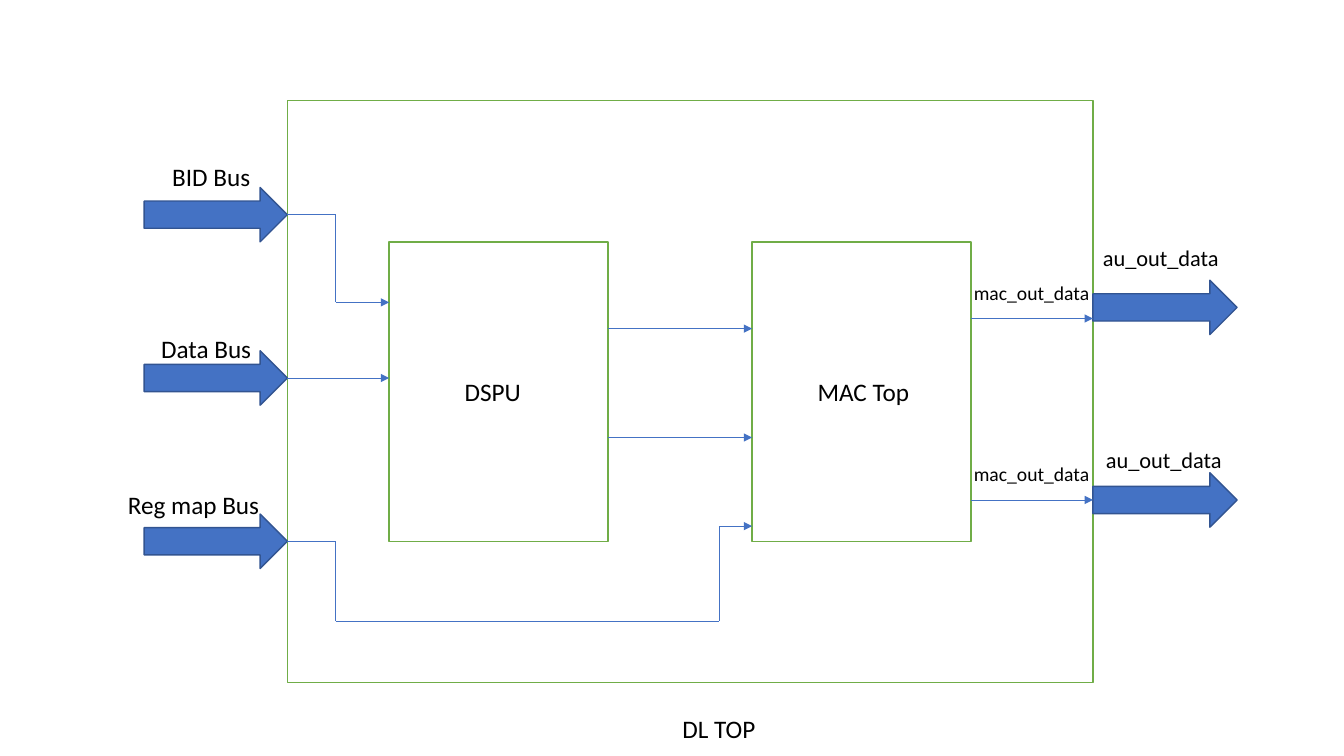
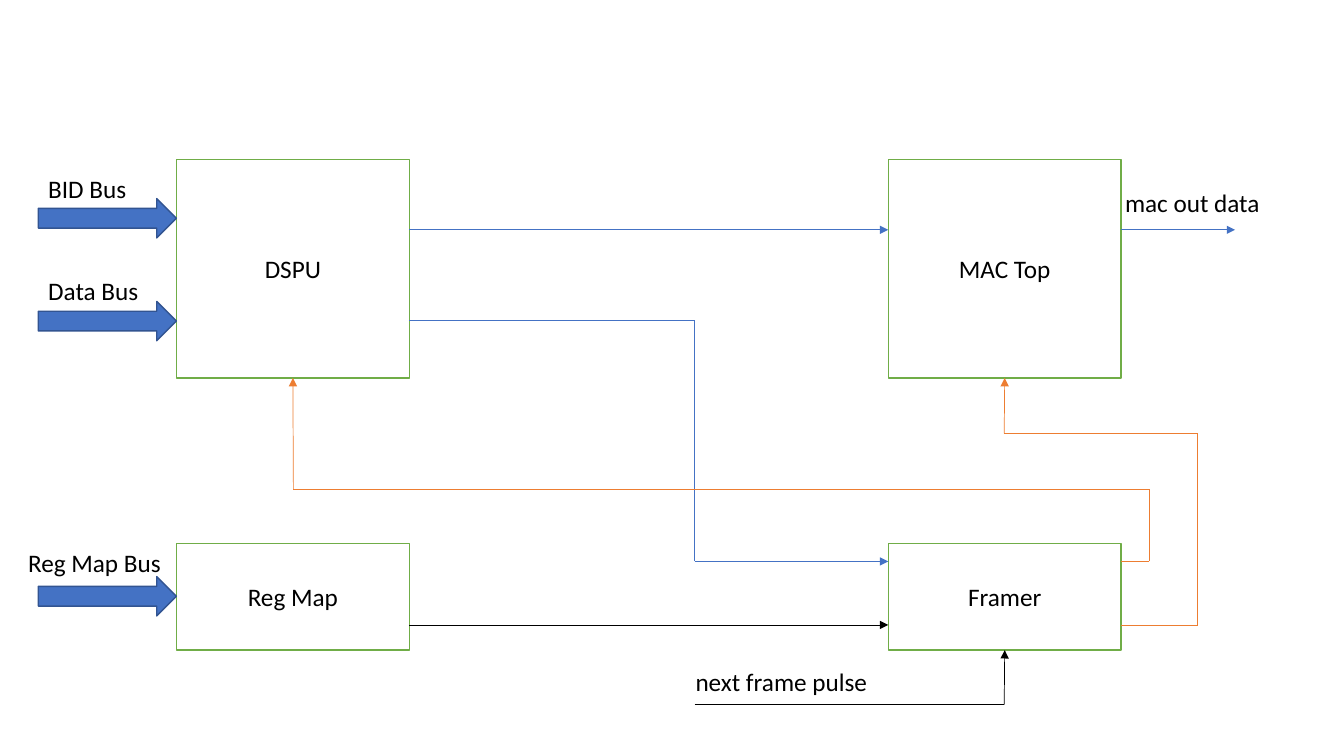
from itertools import pairwise

from lxml import etree
from pptx import Presentation
from pptx.dml.color import RGBColor
from pptx.enum.shapes import MSO_CONNECTOR, MSO_SHAPE
from pptx.enum.text import MSO_ANCHOR, MSO_AUTO_SIZE, PP_ALIGN
from pptx.oxml.ns import qn
from pptx.util import Inches, Pt

FONT = "Calibri"
WHITE = RGBColor(0xFF, 0xFF, 0xFF)
BLACK = RGBColor(0x00, 0x00, 0x00)
GREEN = RGBColor(0x70, 0xAD, 0x47)
BLUE = RGBColor(0x44, 0x72, 0xC4)
DARK_BLUE = RGBColor(0x32, 0x54, 0x91)
ORANGE = RGBColor(0xED, 0x7D, 0x31)
BOTTOM, RIGHT = 2, 3


def add_block(slide, preset, left, top, width, height, caption=""):
    """Add a green outlined module or a solid blue bus arrow."""
    block = slide.shapes.add_shape(
        preset, Inches(left), Inches(top), Inches(width), Inches(height))
    is_bus = preset == MSO_SHAPE.RIGHT_ARROW
    block.shadow.inherit = False
    block.fill.solid()
    block.fill.fore_color.rgb = BLUE if is_bus else WHITE
    block.line.color.rgb = DARK_BLUE if is_bus else GREEN
    block.line.width = Pt(1)
    if caption:
        frame = block.text_frame
        frame.text = caption
        frame.vertical_anchor = MSO_ANCHOR.MIDDLE
        frame.paragraphs[0].alignment = PP_ALIGN.CENTER
        font = frame.paragraphs[0].runs[0].font
        font.name, font.size, font.color.rgb = FONT, Pt(18), BLACK
    return block


def add_route(slide, color, points, source=None, target=None):
    """Join the points with lines, ending in an arrowhead.

    The route may start at the tip of a source bus and end below a target module.
    """
    segments = []
    for (x1, y1), (x2, y2) in pairwise(points):
        segment = slide.shapes.add_connector(
            MSO_CONNECTOR.STRAIGHT, Inches(x1), Inches(y1), Inches(x2), Inches(y2))
        segment.line.color.rgb = color
        segment.line.width = Pt(0.5)
        etree.SubElement(segment.element.spPr, qn("a:effectLst"))
        segments.append(segment)
    outline = segments[-1].element.spPr.find(qn("a:ln"))
    etree.SubElement(outline, qn("a:tailEnd"), type="triangle")
    if source is not None:
        segments[0].begin_connect(source, RIGHT)
    if target is not None:
        segments[-1].end_connect(target, BOTTOM)


prs = Presentation()
prs.slide_width, prs.slide_height = Inches(13.33), Inches(7.5)
blank_layout = prs.slide_layouts[6]
top_level = prs.slides.add_slide(blank_layout)
internals = prs.slides.add_slide(blank_layout)

# Slide 1: top level with its buses
for left, top, width, height in [
        (2.85, 1, 7.99, 5.77), (3.86, 2.4, 2.17, 2.97), (7.46, 2.4, 2.17, 2.97)]:
    add_block(top_level, MSO_SHAPE.RECTANGLE, left, top, width, height)

input_routes = [
    [(2.85, 2.13), (3.33, 2.13), (3.33, 3), (3.86, 3)],
    [(2.85, 3.75), (3.86, 3.75)],
    [(2.85, 5.37), (3.33, 5.37), (3.33, 6.16), (7.13, 6.16), (7.13, 5.22), (7.46, 5.22)],
]
for row, points in enumerate(input_routes):
    input_bus = add_block(
        top_level, MSO_SHAPE.RIGHT_ARROW, 1.43, 1.86 + 1.62 * row, 1.42, 0.54)
    add_route(top_level, BLUE, points, source=input_bus)

for top in (2.78, 4.69):
    add_block(top_level, MSO_SHAPE.RIGHT_ARROW, 10.84, top, 1.43, 0.54)
for start, end, y in [
        (6.03, 7.46, 3.26), (6.03, 7.46, 4.34), (9.63, 10.84, 3.16), (9.63, 10.84, 4.96)]:
    add_route(top_level, BLUE, [(start, y), (end, y)])

# Slide 2: modules inside the top level
modules = {}
for caption, left, top, height in [
        ("DSPU", 1.75, 1.58, 2.17), ("MAC Top", 8.81, 1.58, 2.17),
        ("Reg Map", 1.75, 5.39, 1.06), ("Framer", 8.81, 5.39, 1.06)]:
    modules[caption] = add_block(
        internals, MSO_SHAPE.RECTANGLE, left, top, 2.31, height, caption)
for top in (1.97, 2.99, 5.72):
    add_block(internals, MSO_SHAPE.RIGHT_ARROW, 0.38, top, 1.37, 0.39)

for color, points, target in [
        (BLUE, [(4.06, 2.28), (8.81, 2.28)], None),
        (BLUE, [(4.06, 3.18), (6.89, 3.18), (6.89, 5.57), (8.81, 5.57)], None),
        (BLUE, [(11.12, 2.28), (12.25, 2.28)], None),
        (BLACK, [(4.06, 6.2), (8.81, 6.2)], None),
        (ORANGE, [(11.12, 5.57), (11.4, 5.57), (11.4, 4.85), (2.91, 4.85), (2.91, 3.75)],
         "DSPU"),
        (ORANGE, [(11.12, 6.2), (11.88, 6.2), (11.88, 4.3), (9.96, 4.3), (9.96, 3.75)],
         "MAC Top"),
        (BLACK, [(6.89, 6.99), (9.96, 6.99), (9.96, 6.45)], "Framer")]:
    add_route(internals, color, points, target=modules.get(target))

# Labels of both slides
for slide, wording, left, top, width, size in [
        (top_level, "BID Bus", 1.61, 1.55, 1.06, 18),
        (top_level, "Data Bus", 1.5, 3.26, 1.97, 18),
        (top_level, "Reg map Bus", 1.17, 4.81, 1.59, 18),
        (top_level, "DSPU", 4.51, 3.68, 1.71, 18),
        (top_level, "MAC Top", 8.01, 3.68, 1.71, 18),
        (top_level, "DL TOP", 6.67, 7.03, 3.41, 18),
        (top_level, "mac_out_data", 9.56, 2.74, 1.45, 14),
        (top_level, "mac_out_data", 9.56, 4.53, 1.85, 14),
        (top_level, "au_out_data", 10.84, 2.37, 2.03, 16),
        (top_level, "au_out_data", 10.87, 4.38, 2.03, 16),
        (internals, "BID Bus", 0.38, 1.67, 1.19, 18),
        (internals, "Data Bus", 0.38, 2.68, 1.19, 18),
        (internals, "Reg Map Bus", 0.18, 5.38, 1.78, 18),
        (internals, "next frame pulse", 6.8, 6.56, 2.11, 18),
        (internals, "mac out data", 11.06, 1.81, 1.64, 18)]:
    height = 0.1 + size / 60
    label = slide.shapes.add_textbox(
        Inches(left), Inches(top), Inches(width), Inches(height))
    frame = label.text_frame
    frame.text = wording
    frame.word_wrap = True
    frame.auto_size = MSO_AUTO_SIZE.SHAPE_TO_FIT_TEXT
    font = frame.paragraphs[0].runs[0].font
    font.name, font.size, font.color.rgb = FONT, Pt(size), BLACK

prs.save("out.pptx")
